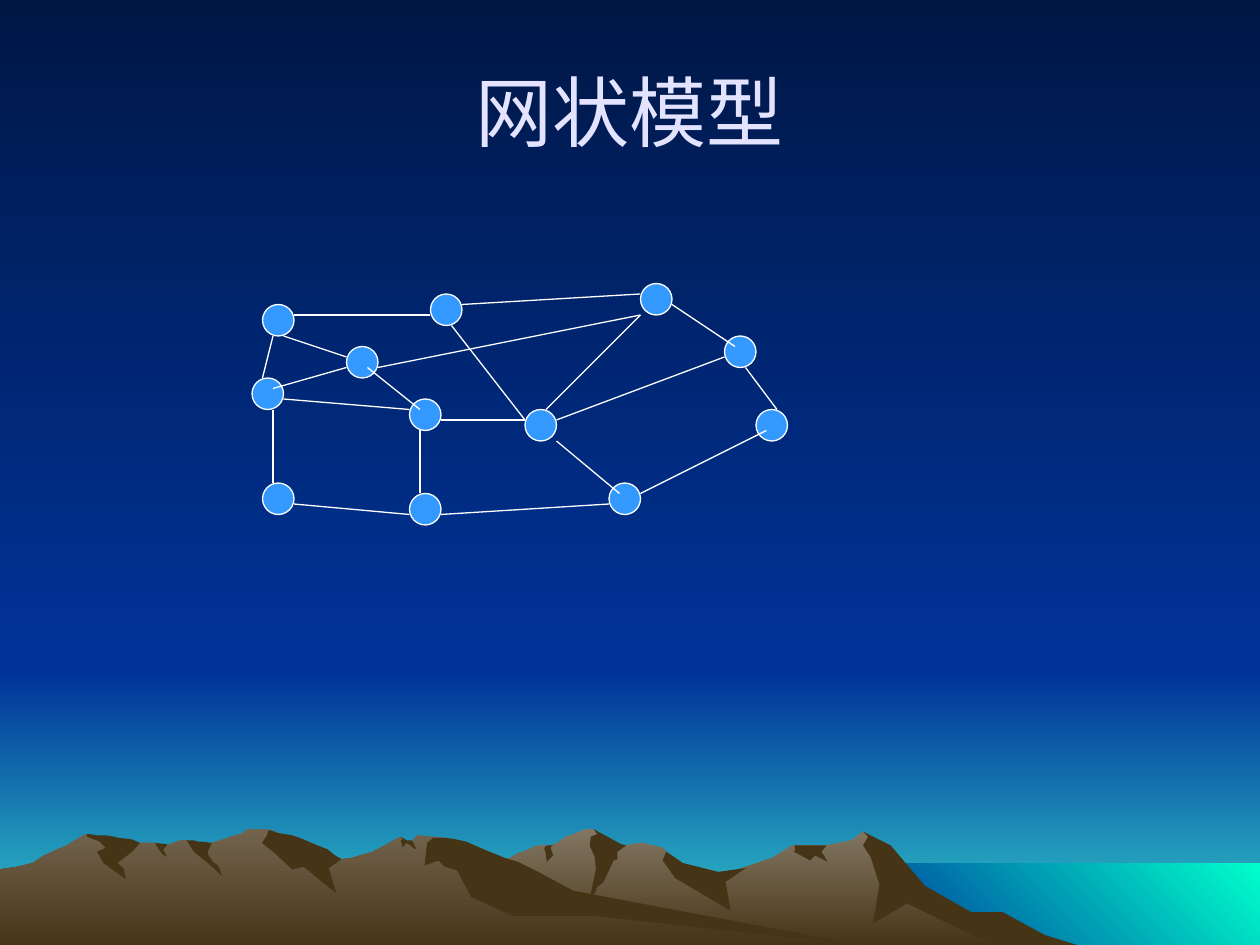
from dataclasses import dataclass

import pptx
import pptx.dml.color
import pptx.enum.shapes
import pptx.enum.text
import pptx.util
from lxml import etree
from pptx.util import Inches


@dataclass(frozen=True)
class Theme:
    night: str = "001746"
    blue: str = "003399"
    horizon: str = "33CCCC"
    water: str = "00FFCC"
    far_rock: str = "837763"
    near_rock: str = "72644E"
    shade: str = "463416"
    node: str = "3399FF"
    line: str = "FFFFFF"
    title: str = "E3E3FF"
    font: str = "Arial"
    title_size: int = 44
    line_width: float = 0.75


THEME = Theme()
DOWN, DOWN_LEFT = 270, 225  # gradient directions, counter-clockwise degrees

# Landscape outlines as x,y points in inches
SKY = "0,0 10,0 10,5.33 0,5.33"
HORIZON = "0,5.33 10,5.33 10,7.5 0,7.5"
WATER = "6.83,6.85 10,6.85 10,7.52 6.83,7.52"
FAR_RANGE = """8.02,7.4 7.78,7.27 7.64,7.23 7.23,6.98 7.02,6.71 6.85,6.6 6.76,6.67 6.56,6.71
6.29,6.71 6.13,6.81 5.66,6.97 5.36,6.9 5.29,6.76 5.26,6.73 5.09,6.69 4.97,6.71 4.86,6.73
4.74,6.61 4.71,6.58 4.65,6.58 4.5,6.64 4.48,6.65 4.44,6.68 4.38,6.71 4.3,6.71 4.24,6.72
4.18,6.75 4.12,6.77 4.05,6.81 3.99,6.83 3.94,6.85 3.55,6.98 3.27,7.09 2.77,7.39 2.58,7.51
8.21,7.51"""
NEAR_RANGE = """6.9,7.51 6.67,7.48 4.32,7.12 3.54,6.65 3.31,6.63 3.27,6.68 3.23,6.68 3.18,6.64
2.96,6.76 2.79,6.81 2.71,6.82 2.6,6.76 2.36,6.81 2.23,6.63 2.19,6.6 2.15,6.59 2.12,6.58
1.96,6.58 1.94,6.6 1.91,6.62 1.86,6.63 1.78,6.66 1.68,6.69 1.6,6.71 1.48,6.67 1.43,6.67
1.32,6.71 1.28,6.71 1.23,6.69 1.11,6.69 0.94,6.71 0.68,6.62 0.56,6.69 0.53,6.71 0.46,6.74
0.35,6.79 0.26,6.85 0.14,6.88 0,6.9 0,7.51"""
FAR_SHADES = [
    """7.96,7.24 7.71,7.24 7.34,7.03 7.07,6.71 6.85,6.6 6.89,6.64 6.85,6.71 6.91,6.8 6.98,7.02
    6.93,7.33 7.2,7.17 7.92,7.52 8.58,7.51 8.29,7.42""",
    """4.71,6.58 4.74,6.62 4.69,6.64 4.68,6.71 4.72,6.8 4.73,6.9 4.65,7.27 4.74,7.04 4.79,7
    4.87,6.83 4.9,6.82 4.9,6.76 4.97,6.71 4.93,6.7""",
    """5.29,6.76 5.28,6.78 5.26,6.83 5.36,6.97 5.8,7.23 5.76,7 5.92,6.89 5.7,6.92 5.42,6.85""",
    """6.5,6.71 6.3,6.71 6.31,6.72 6.31,6.75 6.3,6.76 6.43,6.83 6.47,6.79 6.57,6.84 6.52,6.76
    6.56,6.71""",
    """4.33,6.77 4.32,6.73 4.34,6.71 4.38,6.71 4.39,6.7 4.37,6.73 4.39,6.79 4.34,6.84""",
]
NEAR_SHADES = [
    """2.12,6.63 2.08,6.69 2.19,6.78 2.32,6.9 2.41,6.88 2.67,7.09 2.61,6.89 2.71,6.82 2.66,6.79
    2.6,6.74 2.52,6.71 2.45,6.68 2.38,6.65 2.32,6.63 2.26,6.62 2.2,6.61 2.15,6.59 2.13,6.59""",
    """3.7,6.68 3.61,6.66 3.54,6.65 3.44,6.65 3.39,6.69 3.37,6.87 3.48,6.83 3.53,6.88 3.63,6.91
    3.74,7.12 4.07,7.27 4.72,7.27 6.9,7.51 6.83,7.5 4.55,7.07 4.27,6.92 4.11,6.84 4.01,6.81
    3.86,6.75""",
    """3.18,6.67 3.2,6.66 3.18,6.64 3.23,6.67 3.27,6.67 3.28,6.69 3.3,6.73 3.3,6.74 3.28,6.73
    3.26,6.71 3.22,6.69 3.22,6.7 3.2,6.72 3.19,6.72 3.19,6.7""",
    """1.54,6.67 1.57,6.68 1.61,6.68 1.68,6.69 1.65,6.76 1.65,6.78 1.69,6.84 1.73,6.87 1.75,6.91
    1.76,6.95 1.65,6.85 1.54,6.76 1.48,6.67""",
    """1.33,6.7 1.3,6.74 1.3,6.75 1.32,6.79 1.32,6.8 1.29,6.78 1.26,6.74 1.23,6.69""",
    """1.09,6.68 1.11,6.69 1.05,6.76 0.93,6.85 0.98,6.89 1,6.98 0.82,6.85 0.77,6.76 0.84,6.73
    0.79,6.68 0.69,6.64 0.69,6.62 0.71,6.62 0.77,6.63 0.84,6.63 0.9,6.64 0.94,6.65 1.04,6.66""",
]

# Network on a grid of twelfths of an inch
GRID = 12
NODE_SIZE = 3
NODES = [(25, 29), (41, 28), (69, 32), (33, 33), (24, 36), (39, 38),
         (39, 47), (25, 46), (58, 46), (50, 39), (72, 39), (61, 27)]
LINKS = [
    (28, 30, 41, 30), (44, 29, 61, 28), (43, 31, 50, 40), (27, 32, 33, 34),
    (26, 37, 33, 35), (26, 32, 25, 36), (36, 35, 61, 30), (53, 42, 59, 47),
    (71, 35, 74, 39), (64, 29, 70, 33), (35, 35, 40, 39), (26, 39, 26, 46),
    (28, 48, 39, 49), (40, 47, 40, 41), (42, 49, 58, 48), (61, 47, 73, 41),
    (53, 40, 69, 34), (52, 39, 61, 30), (42, 40, 50, 40), (27, 38, 39, 39),
]


def rgb(color):
    return pptx.dml.color.RGBColor.from_string(color)


def grid(*units):
    return [Inches(unit / GRID) for unit in units]


def set_fill(fill, *colors, angle=DOWN):
    """One color gives a solid fill, two give a gradient."""
    if len(colors) == 1:
        fill.solid()
        fill.fore_color.rgb = rgb(colors[0])
        return
    fill.gradient()
    fill.gradient_angle = angle
    for stop, color in zip(fill.gradient_stops, colors):
        stop.color.rgb = rgb(color)


def set_line(line):
    line.color.rgb = rgb(THEME.line)
    line.width = pptx.util.Pt(THEME.line_width)


def add_outline(slide, outline, *colors, angle=DOWN):
    points = [tuple(Inches(float(value)) for value in pair.split(","))
              for pair in outline.split()]
    builder = slide.shapes.build_freeform(*points[0])
    builder.add_line_segments(points[1:], close=True)
    shape = builder.convert_to_shape()
    shape.shadow.inherit = False
    set_fill(shape.fill, *colors, angle=angle)
    shape.line.fill.background()


def add_node(slide, left, top):
    shape = slide.shapes.add_shape(
        pptx.enum.shapes.MSO_SHAPE.FLOWCHART_CONNECTOR,
        *grid(left, top, NODE_SIZE, NODE_SIZE))
    shape.shadow.inherit = False
    set_fill(shape.fill, THEME.node)
    set_line(shape.line)


def add_link(slide, *ends):
    connector = slide.shapes.add_connector(
        pptx.enum.shapes.MSO_CONNECTOR.STRAIGHT, *grid(*ends))
    set_line(connector.line)
    etree.SubElement(connector.element.spPr, pptx.oxml.ns.qn("a:effectLst"))


def write_text(frame, text, *, size, color, font, align, anchor):
    frame.word_wrap = True
    frame.vertical_anchor = anchor
    paragraph = frame.paragraphs[0]
    paragraph.alignment = align
    run = paragraph.add_run()
    run.text = text
    run.font.size = pptx.util.Pt(size)
    run.font.name = font
    run.font.color.rgb = rgb(color)


def add_landscape(slide):
    add_outline(slide, HORIZON, THEME.blue, THEME.horizon)
    add_outline(slide, SKY, THEME.night, THEME.blue)
    add_outline(slide, WATER, THEME.water, THEME.blue, angle=DOWN_LEFT)
    for mountains, rock, shades in ((FAR_RANGE, THEME.far_rock, FAR_SHADES),
                                    (NEAR_RANGE, THEME.near_rock, NEAR_SHADES)):
        add_outline(slide, mountains, rock, THEME.shade)
        for shade in shades:
            add_outline(slide, shade, THEME.shade)


def add_title(slide, text):
    title = slide.shapes.title
    title.left, title.top = Inches(0.5), Inches(0.25)
    title.width, title.height = Inches(9), Inches(1.25)
    write_text(title.text_frame, text, size=THEME.title_size, color=THEME.title,
               font=THEME.font, align=pptx.enum.text.PP_ALIGN.CENTER,
               anchor=pptx.enum.text.MSO_ANCHOR.MIDDLE)
    # Bring the title in front of the sky
    title.element.getparent().append(title.element)


def main():
    presentation = pptx.Presentation()
    presentation.slide_width, presentation.slide_height = Inches(10), Inches(7.5)
    slide = presentation.slides.add_slide(presentation.slide_layouts[5])

    # Backdrop and title
    set_fill(slide.background.fill, THEME.night, THEME.blue)
    add_landscape(slide)
    add_title(slide, "网状模型")

    # Network diagram
    for node in NODES:
        add_node(slide, *node)
    for link in LINKS:
        add_link(slide, *link)

    presentation.save("out.pptx")


if __name__ == "__main__":
    main()
